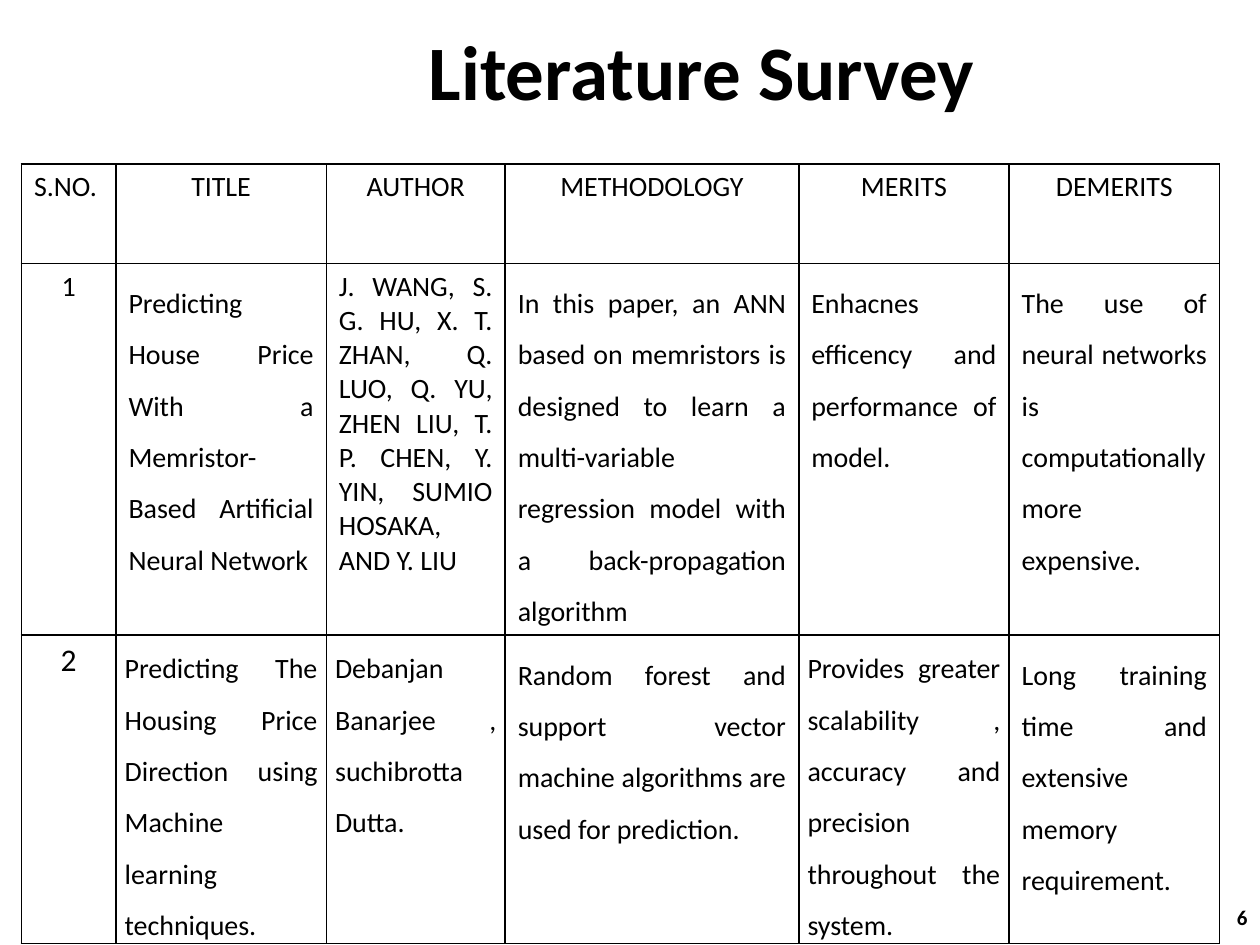
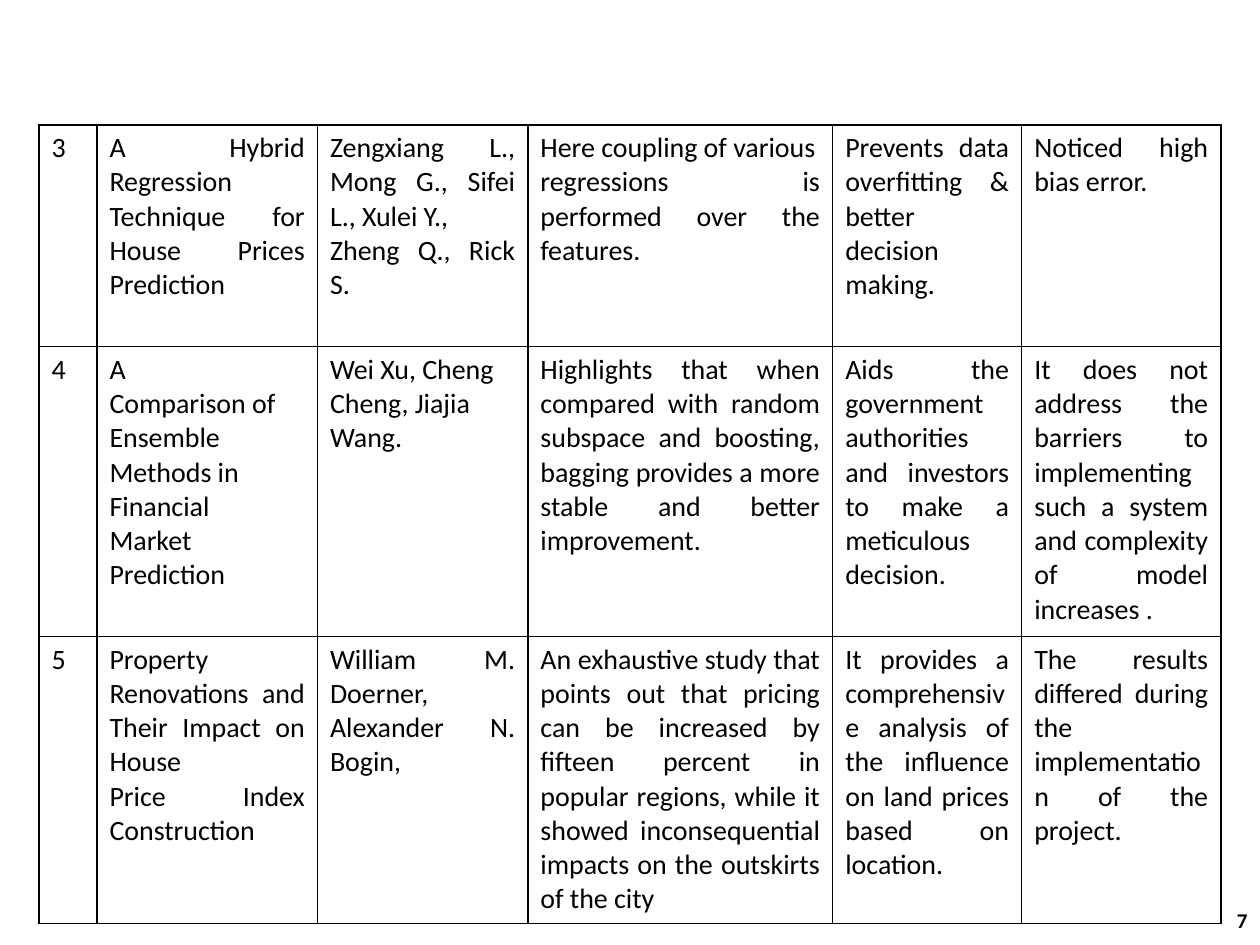
import pptx
import pptx.dml.color
import pptx.enum.text
import pptx.oxml.ns
import pptx.util
from lxml import etree

Inches = pptx.util.Inches
Pt = pptx.util.Pt
ALIGN = pptx.enum.text.PP_ALIGN
ANCHOR = pptx.enum.text.MSO_ANCHOR
qn = pptx.oxml.ns.qn

BLACK = pptx.dml.color.RGBColor(0x00, 0x00, 0x00)
WHITE = pptx.dml.color.RGBColor(0xFF, 0xFF, 0xFF)
FONT = "Calibri"

# Cell formats: whatever differs from justified 16 pt text
LEFT = {"align": ALIGN.LEFT}
CENTER = {"align": ALIGN.CENTER}
LARGE = {"align": ALIGN.CENTER, "size": 18}
LOOSE = {"line_spacing": 1.5}
TIGHT = {"line_spacing": 1.5, "margins": (0.07, 0)}
PLAIN = {}

# Content: each cell is (text, format); a line break starts a new paragraph
SLIDES = [
    {
        "title": "Literature Survey",
        "number": "6",
        "number_top": 7.08,
        "table_at": (0.17, 1.3),
        "column_widths": [0.75, 1.67, 1.42, 2.33, 1.67, 1.67],
        "row_heights": [0.79, 2.95, 2.45],
        "rows": [
            [("S.NO.", LEFT), ("TITLE", CENTER), ("AUTHOR", CENTER),
             ("METHODOLOGY", CENTER), ("MERITS", CENTER), ("DEMERITS", CENTER)],
            [("1", CENTER),
             ("Predicting House Price With a Memristor- Based Artificial Neural Network", LOOSE),
             ("J. WANG, S. G. HU, X. T. ZHAN, Q. LUO, Q. YU, ZHEN LIU, T. P. CHEN, "
              "Y. YIN, SUMIO HOSAKA, AND Y. LIU", PLAIN),
             ("In this paper, an ANN based on memristors is designed to learn a "
              "multi-variable regression model with a back-propagation algorithm", LOOSE),
             ("Enhacnes efficency and performance of model.", LOOSE),
             ("The use of neural networks is computationally more expensive.", LOOSE)],
            [("2", LARGE),
             ("Predicting The Housing Price Direction using Machine learning techniques.", TIGHT),
             ("Debanjan Banarjee , suchibrotta Dutta.", TIGHT),
             ("Random forest and support vector machine algorithms are used for prediction.",
              LOOSE),
             ("Provides greater scalability , accuracy and precision throughout the system.",
              TIGHT),
             ("Long training time and extensive memory requirement.", LOOSE)],
        ],
    },
    {
        "title": None,
        "number": "7",
        "number_top": 7.1,
        "table_at": (0.31, 0.99),
        "column_widths": [0.46, 1.75, 1.67, 2.42, 1.5, 1.58],
        "row_heights": [1.76, 2.3, 2.28],
        "rows": [
            [("3", LEFT),
             ("A Hybrid Regression Technique for House Prices Prediction", PLAIN),
             ("Zengxiang L., Mong G., Sifei L., Xulei Y.,\nZheng Q., Rick S.", PLAIN),
             ("Here coupling of various\nregressions is performed over the features.", PLAIN),
             ("Prevents data overfitting & better decision making.", PLAIN),
             ("Noticed high bias error.", PLAIN)],
            [("4", LEFT),
             ("A\nComparison of Ensemble Methods in Financial\nMarket Prediction", LEFT),
             ("Wei Xu, Cheng Cheng, Jiajia Wang.", LEFT),
             ("Highlights that when compared with random subspace and boosting, "
              "bagging provides a more stable and better improvement.", PLAIN),
             ("Aids the government authorities and investors to make a meticulous decision.",
              PLAIN),
             ("It does not address the barriers to implementing such a system and "
              "complexity of model increases .", PLAIN)],
            [("5", LEFT),
             ("Property Renovations and Their Impact on House\nPrice Index Construction", PLAIN),
             ("William M. Doerner, Alexander N. Bogin,", PLAIN),
             ("An exhaustive study that points out that pricing can be increased by "
              "fifteen percent in popular regions, while it showed inconsequential "
              "impacts on the outskirts of the city", PLAIN),
             ("It provides a comprehensive analysis of the influence on land prices "
              "based on location.", PLAIN),
             ("The results differed during the implementation of the project.", PLAIN)],
        ],
    },
]


def write_text(text_frame, text, size=16, bold=False, align=ALIGN.JUSTIFY, line_spacing=None):
    for index, line in enumerate(text.split("\n")):
        paragraph = text_frame.add_paragraph() if index else text_frame.paragraphs[0]
        paragraph.alignment = align
        if line_spacing:
            paragraph.line_spacing = line_spacing
        run = paragraph.add_run()
        run.text = line
        run.font.name = FONT
        run.font.size = Pt(size)
        run.font.bold = bold
        run.font.color.rgb = BLACK


def add_label(slide, text, left, top, width, height, margin_left=0.1, **text_format):
    box = slide.shapes.add_textbox(Inches(left), Inches(top), Inches(width), Inches(height))
    box.text_frame.word_wrap = True
    box.text_frame.vertical_anchor = ANCHOR.MIDDLE
    box.text_frame.margin_left = Inches(margin_left)
    write_text(box.text_frame, text, **text_format)


def draw_borders(cell):
    properties = cell._tc.get_or_add_tcPr()
    for side in ("a:lnL", "a:lnR", "a:lnT", "a:lnB"):
        line = etree.SubElement(properties, qn(side), w=str(Pt(1)))
        fill = etree.SubElement(line, qn("a:solidFill"))
        etree.SubElement(fill, qn("a:srgbClr"), val=str(BLACK))


def fill_cell(cell, text, margins=(0.1, 0.05), **text_format):
    horizontal, vertical = margins
    cell.margin_left = cell.margin_right = Inches(horizontal)
    cell.margin_top = cell.margin_bottom = Inches(vertical)
    draw_borders(cell)
    cell.fill.background()
    write_text(cell.text_frame, text, **text_format)


def add_survey_table(slide, content):
    widths, heights, rows = content["column_widths"], content["row_heights"], content["rows"]
    left, top = content["table_at"]
    table = slide.shapes.add_table(
        len(rows), len(widths), Inches(left), Inches(top),
        Inches(sum(widths)), Inches(sum(heights))).table
    table.first_row = table.horz_banding = False
    for column, width in zip(table.columns, widths):
        column.width = Inches(width)
    for row, height, cells in zip(table.rows, heights, rows):
        row.height = Inches(height)
        for cell, (text, cell_format) in zip(row.cells, cells):
            fill_cell(cell, text, **cell_format)


def main():
    presentation = pptx.Presentation()
    presentation.slide_width, presentation.slide_height = Inches(10), Inches(7.5)
    for content in SLIDES:
        slide = presentation.slides.add_slide(presentation.slide_layouts[6])
        slide.background.fill.solid()
        slide.background.fill.fore_color.rgb = WHITE

        # Title, set right of the middle by a wide left margin
        if content["title"]:
            add_label(slide, content["title"], 0.52, -0.07, 9, 1.25, margin_left=1.2,
                      size=44, bold=True, align=ALIGN.CENTER)

        # Survey table and slide number
        add_survey_table(slide, content)
        add_label(slide, content["number"], 7.67, content["number_top"], 2.33, 0.4,
                  size=12, bold=True, align=ALIGN.RIGHT)
    presentation.save("out.pptx")


if __name__ == "__main__":
    main()
